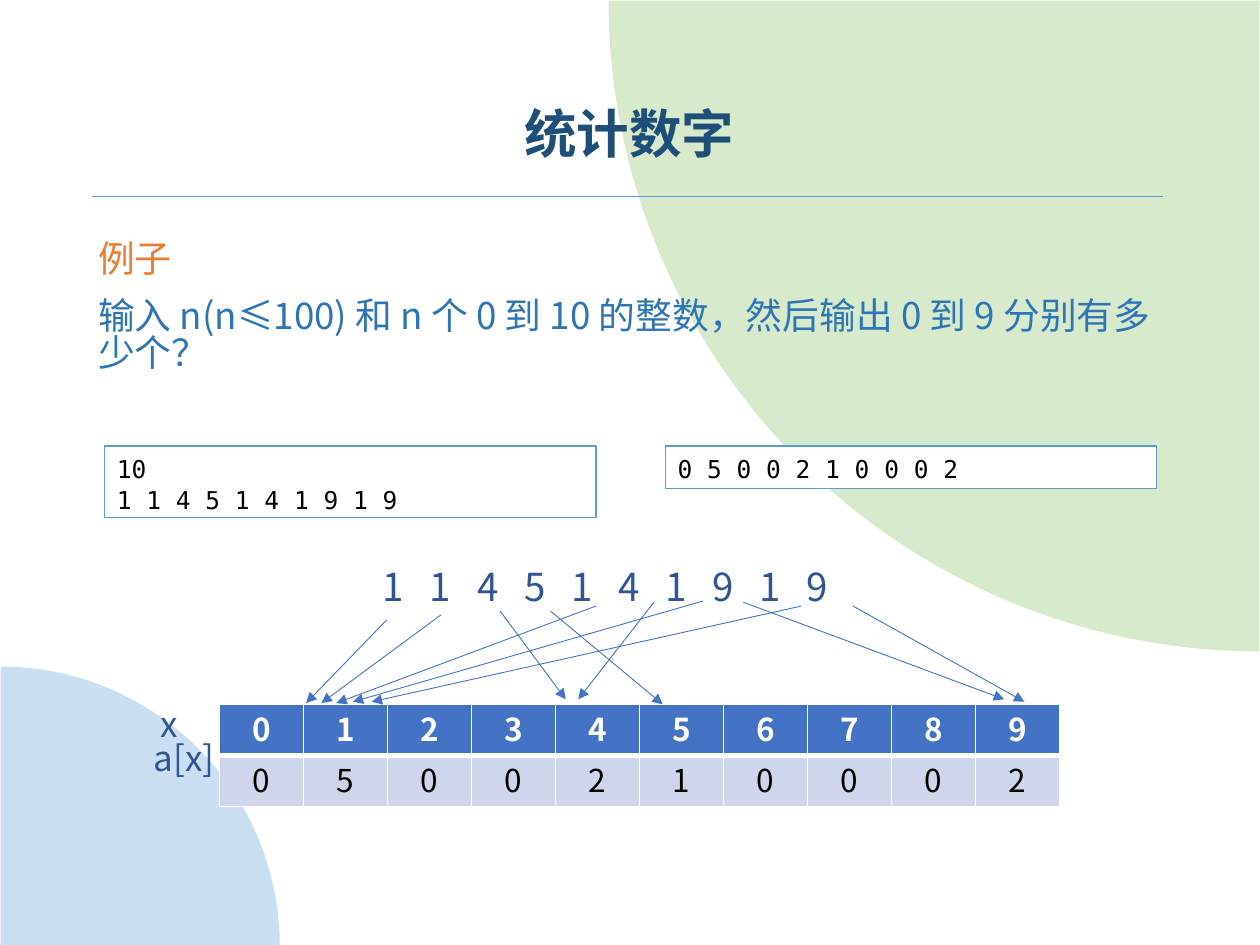
import pptx
import pptx.util
import pptx.dml.color
import pptx.enum.shapes
import pptx.enum.text
import pptx.oxml
import pptx.oxml.ns

Inches, Pt = pptx.util.Inches, pptx.util.Pt
Shape = pptx.enum.shapes.MSO_SHAPE
Align = pptx.enum.text.PP_ALIGN
Anchor = pptx.enum.text.MSO_ANCHOR

SANS, MONO = "Noto Sans CJK SC", "DejaVu Sans Mono"
TIGHT = 0.83
COLORS = {
    "white": "FFFFFF", "black": "000000", "green": "D8EACC", "pale": "CADFF2",
    "rule": "5B9BD5", "title": "1F4E79", "orange": "ED7D31", "body": "2E75B6",
    "navy": "2F5597", "head": "4472C4", "cell": "CFD5EA",
}


def rgb(name):
    return pptx.dml.color.RGBColor.from_string(COLORS[name])


def add_xml(parent, tag, **attrs):
    child = pptx.oxml.parse_xml(f"<{tag} {pptx.oxml.ns.nsdecls('a')}/>")
    for key, value in attrs.items():
        child.set(key, str(value))
    parent.append(child)
    return child


class Painter:
    """Holds the style and the current slide."""

    def __init__(self, slide):
        self.slide = slide
        self.shapes = slide.shapes

    def style(self, para, size, color, font=SANS, bold=False,
              align=Align.LEFT, lead=TIGHT):
        para.alignment = align
        para.line_spacing = lead
        for run in para.runs:
            run.font.size = Pt(size)
            run.font.bold = bold
            run.font.name = font
            run.font.color.rgb = rgb(color)
            add_xml(run.font._element, "a:ea", typeface=font)

    def text(self, box, lines):
        """Add a text box; each line is its wording and its style."""
        shape = self.shapes.add_textbox(*map(Inches, box))
        frame = shape.text_frame
        frame.word_wrap = True
        frame.text = "\n".join(words for words, _ in lines)
        for para, (_, look) in zip(frame.paragraphs, lines):
            self.style(para, **look)
        return frame

    def shape(self, kind, box, fill, line=None):
        shape = self.shapes.add_shape(kind, *map(Inches, box))
        shape.shadow.inherit = False
        shape.fill.solid()
        shape.fill.fore_color.rgb = rgb(fill)
        if line:
            shape.line.color.rgb = rgb(line)
            shape.line.width = Pt(0.75)
        else:
            shape.line.fill.background()
        return shape

    def pie(self, box, fill, turn):
        """Add a quarter disc, turned clockwise from the upper left."""
        shape = self.shape(Shape.PIE, box, fill)
        shape.adjustments[0] = 108
        shape.adjustments[1] = 162
        shape.rotation = turn

    def code(self, box, words):
        shape = self.shape(Shape.RECTANGLE, box, "white", "rule")
        frame = shape.text_frame
        frame.vertical_anchor = Anchor.TOP
        frame.text = words
        for para in frame.paragraphs:
            self.style(para, 14, "black", MONO, lead=1.05)

    def line(self, ends, color, width, arrow=False):
        link = self.shapes.add_connector(
            pptx.enum.shapes.MSO_CONNECTOR.STRAIGHT, *map(Inches, ends))
        link.line.color.rgb = rgb(color)
        link.line.width = Pt(width)
        if arrow:
            add_xml(link.line._get_or_add_ln(), "a:tailEnd", type="triangle")
        add_xml(link._element.spPr, "a:effectLst")

    def cell(self, cell, words, fill, color, bold, base):
        """Fill a cell; base is the width of its lower border."""
        cell.text = words
        cell.vertical_anchor = Anchor.MIDDLE
        self.style(cell.text_frame.paragraphs[0], 18, color, bold=bold,
                   align=Align.CENTER)
        props = cell._tc.get_or_add_tcPr()
        for side, width in (("L", 1), ("R", 1), ("T", 4 - base if base == 1 else 1), ("B", base)):
            edge = add_xml(props, f"a:ln{side}", w=Pt(width))
            solid = add_xml(edge, "a:solidFill")
            add_xml(solid, "a:srgbClr", val=COLORS["white"])
        cell.fill.solid()
        cell.fill.fore_color.rgb = rgb(fill)

    def table(self, box, rows):
        frame = self.shapes.add_table(len(rows), len(rows[0]), *map(Inches, box))
        table = frame.table
        table.horz_banding = False
        looks = (("head", "white", True, 3), ("cell", "black", False, 1))
        for i, (row, look) in enumerate(zip(rows, looks)):
            for j, value in enumerate(row):
                self.cell(table.cell(i, j), str(value), *look)


def main():
    deck = pptx.Presentation()
    deck.slide_width, deck.slide_height = Inches(10), Inches(7.5)
    art = Painter(deck.slides.add_slide(deck.slide_layouts[6]))

    art.pie((4.83, -5.16, 10.33, 10.33), "green", 270)
    art.pie((-2.21, 5.29, 4.43, 4.43), "pale", 90)
    art.line((9.23, 1.56, 0.73, 1.56), "rule", 1)

    title = art.text((0.68, 0.51, 8.63, 0.8), [
        ("统计数字", dict(size=30, color="title", bold=True, align=Align.CENTER))])
    title.vertical_anchor = Anchor.BOTTOM
    title.margin_bottom = Inches(0.01)

    body = art.text((0.68, 1.88, 8.63, 4.89), [
        ("例子", dict(size=21, color="orange")),
        ("输入 n(n≤100) 和 n 个 0 到 10 的整数，然后输出 0 到 9 分别有多少个？",
         dict(size=21, color="body"))])
    body.paragraphs[1].space_before = Pt(12)

    digits = [1, 1, 4, 5, 1, 4, 1, 9, 1, 9]
    counts = [digits.count(x) for x in range(10)]
    series = " ".join(map(str, digits))
    art.code((0.83, 3.54, 3.9, 0.57), f"{len(digits)}\n{series}")
    art.code((5.28, 3.54, 3.9, 0.34), " ".join(map(str, counts)))
    art.table((1.74, 5.59, 6.67, 0.81), [range(10), counts])

    row = art.text((2.94, 4.48, 4.51, 0.47), [
        ("\t".join(map(str, digits)), dict(size=22, color="navy"))])
    tabs = add_xml(row.paragraphs[0]._p.get_or_add_pPr(), "a:tabLst")
    for i in range(1, len(digits)):
        add_xml(tabs, "a:tab", pos=Pt(26.9 * i), algn="l")

    arrows = [
        (3.07, 4.92, 2.43, 5.58), (3.5, 4.88, 2.55, 5.58),
        (3.97, 4.85, 4.49, 5.55), (4.37, 4.85, 5.26, 5.59),
        (4.73, 4.81, 2.67, 5.58), (5.19, 4.78, 4.59, 5.55),
        (5.58, 4.77, 2.8, 5.57), (6.36, 4.81, 2.95, 5.57),
        (5.9, 4.78, 7.97, 5.55), (6.77, 4.81, 8.13, 5.57),
    ]
    for ends in arrows:
        art.line(ends, "head", 0.5, arrow=True)

    art.text((0.89, 5.58, 0.91, 0.77), [
        ("x", dict(size=20, color="navy", align=Align.CENTER)),
        ("a[x]", dict(size=20, color="navy", align=Align.RIGHT))])

    deck.save("out.pptx")


if __name__ == "__main__":
    main()
